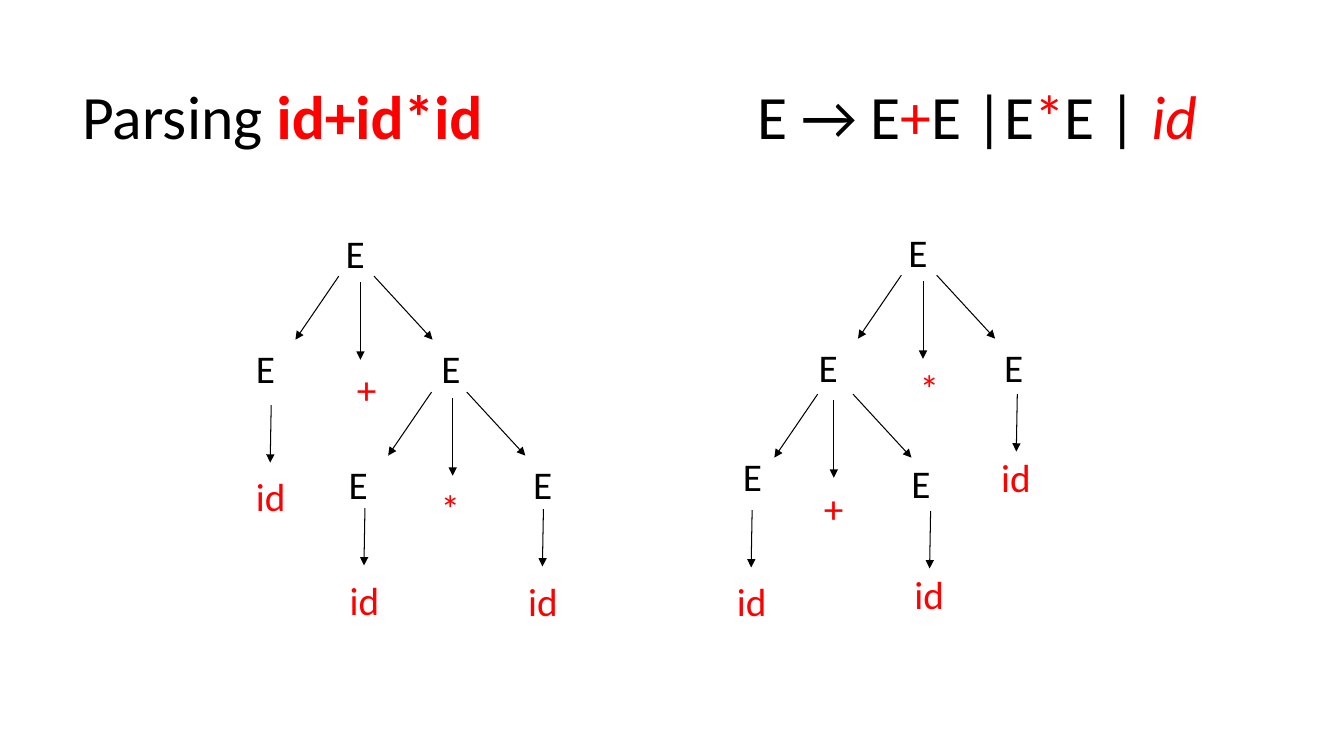
from dataclasses import dataclass
from typing import NamedTuple, Optional

from lxml import etree
from pptx import Presentation, util as u
from pptx.dml.color import RGBColor
from pptx.enum import shapes, text
from pptx.oxml.ns import qn

PX = 9144  # one px is a hundredth of an inch


@dataclass(frozen=True)
class Theme:
    font: str = "Calibri"
    black: RGBColor = RGBColor(0, 0, 0)
    red: RGBColor = RGBColor(255, 0, 0)
    title_size: int = 44
    node_size: int = 28
    line_width: float = 0.75


class Node(NamedTuple):
    label: str
    left: int
    top: int


class Point(NamedTuple):
    x: int
    y: int


class Fan(NamedTuple):
    """Three arrows to children; start is the tail of the left arrow."""
    start: Point
    middle: int = 21


class Tree(NamedTuple):
    root: Node
    nodes: list[Node]
    lower_fan: Fan
    drops: list[Point]


class TitleRun(NamedTuple):
    label: str
    color: RGBColor
    bold: bool = False
    italic: bool = False


THEME = Theme()
OPERATORS = ("+", "*")
GRAMMAR_TAB = 669

TITLE = [
    TitleRun("Parsing ", THEME.black),
    TitleRun("id+id*id", THEME.red, bold=True),
    TitleRun("\tE → E", THEME.black),
    TitleRun("+", THEME.red),
    TitleRun("E |E", THEME.black),
    TitleRun("*", THEME.red),
    TitleRun("E | ", THEME.black),
    TitleRun("id", THEME.red, italic=True),
]

TREES = [
    Tree(
        Node("E", 333, 223),
        [Node("E", 244, 337), Node("+", 335, 358), Node("E", 428, 337),
         Node("E", 336, 452), Node("*", 418, 476), Node("E", 519, 452),
         Node("id", 244, 464), Node("id", 337, 567), Node("id", 514, 568)],
        Fan(Point(428, 389)),
        [Point(269, 402), Point(362, 504), Point(539, 505)],
    ),
    Tree(
        Node("E", 891, 222),
        [Node("E", 802, 336), Node("*", 893, 357), Node("E", 986, 336),
         Node("E", 727, 444), Node("+", 798, 476), Node("E", 894, 451),
         Node("id", 721, 568), Node("id", 897, 561), Node("id", 983, 445)],
        Fan(Point(811, 391), middle=16),
        [Point(746, 506), Point(923, 507), Point(1009, 391)],
    ),
]


def px(length: int) -> u.Emu:
    return u.Emu(length * PX)


def style_run(run, size: int, color: RGBColor) -> None:
    run.font.name = THEME.font
    run.font.size = u.Pt(size)
    run.font.color.rgb = color


def draw_title(slide) -> None:
    box = slide.shapes.add_textbox(px(72), px(46), px(1150), px(145))
    frame = box.text_frame
    frame.word_wrap = True
    frame.vertical_anchor = text.MSO_ANCHOR.MIDDLE
    paragraph = frame.paragraphs[0]
    paragraph.line_spacing = 0.9
    tabs = etree.SubElement(paragraph._p.get_or_add_pPr(), qn("a:tabLst"))
    etree.SubElement(tabs, qn("a:tab"), pos=str(px(GRAMMAR_TAB)), algn="l")
    for part in TITLE:
        run = paragraph.add_run()
        run.text = part.label
        style_run(run, THEME.title_size, part.color)
        run.font.bold = part.bold
        run.font.italic = part.italic


def draw_node(slide, node: Node):
    width = 51 if node.label == "id" else 49
    box = slide.shapes.add_textbox(px(node.left), px(node.top), px(width), px(57))
    frame = box.text_frame
    frame.word_wrap = True
    frame.auto_size = text.MSO_AUTO_SIZE.SHAPE_TO_FIT_TEXT
    if node.label in OPERATORS:
        frame.margin_left, frame.margin_right = px(19), px(5)
    frame.text = node.label
    color = THEME.black if node.label == "E" else THEME.red
    style_run(frame.paragraphs[0].runs[0], THEME.node_size, color)
    return box


def draw_arrow(slide, start: Point, dx: int, dy: int):
    arrow = slide.shapes.add_connector(
        shapes.MSO_CONNECTOR.STRAIGHT,
        px(start.x), px(start.y), px(start.x + dx), px(start.y + dy))
    arrow.line.color.rgb = THEME.black
    arrow.line.width = u.Pt(THEME.line_width)
    properties = arrow._element.spPr
    etree.SubElement(properties.find(qn("a:ln")), qn("a:tailEnd"), type="triangle")
    etree.SubElement(properties, qn("a:effectLst"))
    return arrow


def draw_fan(slide, fan: Fan, parent: Optional[object] = None) -> None:
    """Draw the three arrows, joining the middle one to parent if given."""
    x, y = fan.start
    draw_arrow(slide, fan.start, -43, 63)
    draw_arrow(slide, Point(x + 35, y), 58, 63)
    middle = draw_arrow(slide, Point(x + fan.middle, y + 6), 0, 77)
    if parent is not None:
        middle.begin_connect(parent, 2)
        middle.end_x = middle.begin_x


def draw_tree(slide, tree: Tree) -> None:
    root = draw_node(slide, tree.root)
    draw_fan(slide, Fan(Point(tree.root.left + 3, tree.root.top + 51)), root)
    for node in tree.nodes:
        draw_node(slide, node)
    draw_fan(slide, tree.lower_fan)
    for start in tree.drops:
        draw_arrow(slide, start, -1, 57)


def main() -> None:
    presentation = Presentation()
    presentation.slide_width, presentation.slide_height = px(1333), px(750)
    slide = presentation.slides.add_slide(presentation.slide_layouts[6])
    draw_title(slide)
    for tree in TREES:
        draw_tree(slide, tree)
    presentation.save("out.pptx")


if __name__ == "__main__":
    main()
